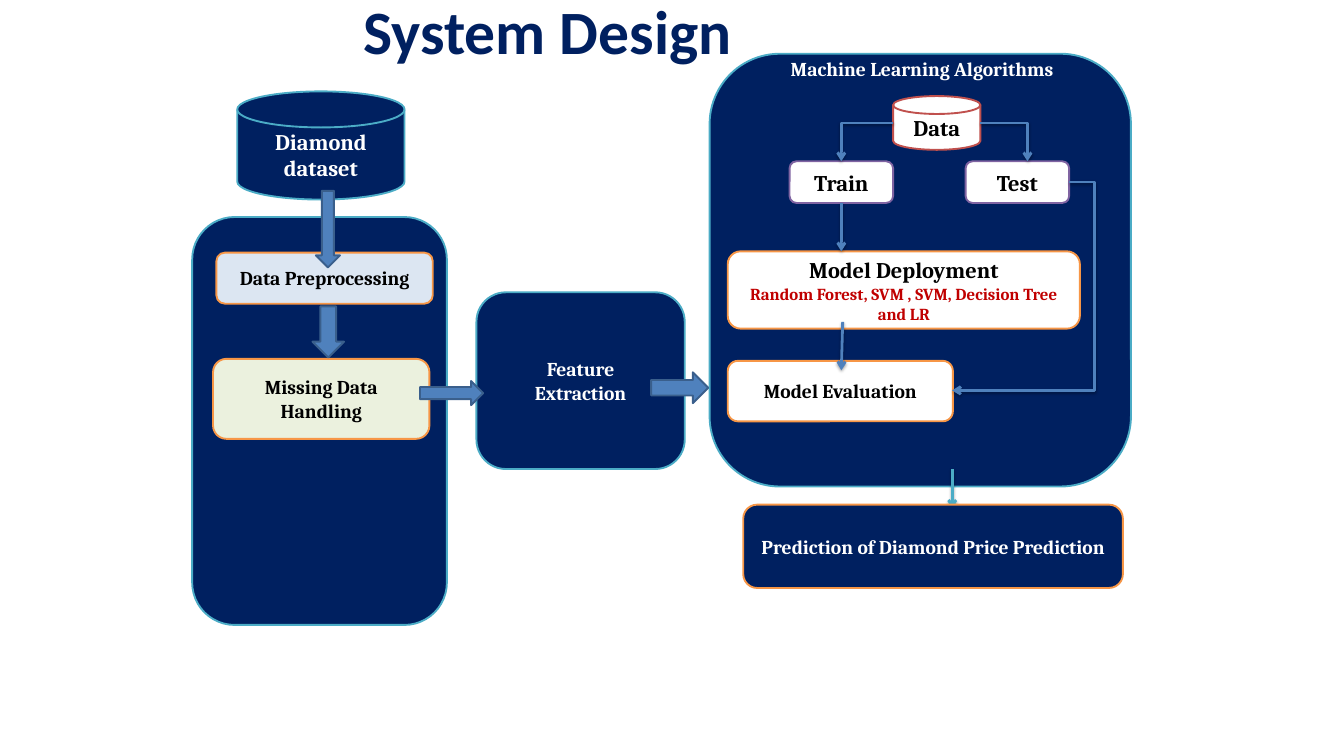
from dataclasses import dataclass
from typing import Optional

from lxml.etree import SubElement
from pptx import Presentation
from pptx.dml.color import RGBColor
from pptx.enum.shapes import MSO_CONNECTOR as Link, MSO_SHAPE as Geo
from pptx.enum.text import MSO_ANCHOR as Anchor, MSO_AUTO_SIZE as AutoSize, PP_ALIGN as Align
from pptx.oxml.ns import qn
from pptx.util import Inches, Pt

COLS, ROWS = 20, 11.25
NAVY, WHITE, BLACK, RED = "002060", "FFFFFF", "000000", "C00000"
TEAL, ORANGE, PURPLE, BRICK = "4BACC6", "F79646", "8064A2", "C0504D"
BLUE, STEEL = "4F81BD", "3A5F8C"


@dataclass(frozen=True)
class Line:
    words: str
    size: int = 21
    color: str = BLACK


@dataclass(frozen=True)
class Block:
    col: float
    row: float
    width: float
    height: float
    fill: str = NAVY
    border: str = TEAL
    lines: tuple[Line, ...] = ()
    geo: int = Geo.ROUNDED_RECTANGLE


@dataclass(frozen=True)
class Flow:
    start: tuple[float, float]
    end: tuple[float, float]
    color: str = BLUE
    bend: Optional[str] = None
    shift: Optional[int] = None


prs = Presentation()
prs.slide_width, prs.slide_height = Inches(COLS), Inches(ROWS)
CELL = prs.slide_width / COLS
slide = prs.slides.add_slide(prs.slide_layouts[5])


def grid(*cells: float) -> list[int]:
    return [round(cell * CELL) for cell in cells]


def rgb(color: str) -> RGBColor:
    return RGBColor.from_string(color)


def write(frame, lines: tuple[Line, ...], face: str = "Cambria", align=Align.CENTER) -> None:
    frame.word_wrap = True
    frame.text = "\n".join(line.words for line in lines)
    for paragraph, line in zip(frame.paragraphs, lines):
        paragraph.alignment = align
        for run in paragraph.runs:
            run.font.name, run.font.size, run.font.bold = face, Pt(line.size), True
            run.font.color.rgb = rgb(line.color)


def draw_block(block: Block):
    shape = slide.shapes.add_shape(
        block.geo, *grid(block.col, block.row, block.width, block.height))
    shape.shadow.inherit = False
    shape.fill.solid()
    shape.fill.fore_color.rgb = rgb(block.fill)
    shape.line.color.rgb = rgb(block.border)
    shape.line.width = Pt(2)
    if block.lines:
        shape.text_frame.vertical_anchor = Anchor.MIDDLE
        write(shape.text_frame, block.lines)
    return shape


def draw_flow(flow: Flow):
    kind = Link.ELBOW if flow.bend else Link.STRAIGHT
    connector = slide.shapes.add_connector(kind, *grid(*flow.start, *flow.end))
    connector.line.color.rgb = rgb(flow.color)
    connector.line.width = Pt(3)
    properties = connector._element.spPr
    SubElement(properties.find(qn("a:ln")), qn("a:tailEnd"), type="arrow")
    if flow.bend:
        geometry = properties.find(qn("a:prstGeom"))
        geometry.set("prst", flow.bend)
        if flow.shift is not None:
            SubElement(geometry.find(qn("a:avLst")), qn("a:gd"),
                       name="adj1", fmla=f"val {flow.shift}")
    effects = SubElement(properties, qn("a:effectLst"))
    shadow = SubElement(effects, qn("a:outerShdw"), blurRad="40000", dist="23000",
                        dir="5400000", rotWithShape="0")
    tint = SubElement(shadow, qn("a:srgbClr"), val=BLACK)
    SubElement(tint, qn("a:alpha"), val="35000")
    return connector


def disk(*box: float, **look) -> Block:
    return Block(*box, geo=Geo.FLOWCHART_MAGNETIC_DISK, **look)


def arrow(*box: float, geo: int) -> Block:
    return Block(*box, BLUE, STEEL, geo=geo)


title = slide.shapes.title
title.left, title.top, title.width, title.height = grid(5.31, -0.03, 17.25, 2.17)
title.text_frame.auto_size = AutoSize.NONE
title.text_frame.vertical_anchor = Anchor.TOP
write(title.text_frame, (Line("System Design", 66, NAVY),), "Calibri", Align.LEFT)
title.text_frame.paragraphs[0].line_spacing = 0.9

preparation = [
    disk(3.53, 1.36, 2.49, 1.61, lines=(Line("Diamond dataset", 24, WHITE),)),
    Block(2.86, 3.23, 3.79, 6.07),
    Block(3.22, 3.76, 3.22, 0.76, "DCE6F2", ORANGE, (Line("Data Preprocessing"),)),
    Block(3.17, 5.34, 3.22, 1.19, "EBF1DE", ORANGE, (Line("Missing Data Handling"),)),
]
learning = [
    Block(10.56, 0.8, 6.27, 6.44),
    disk(13.29, 1.43, 1.3, 0.8, fill=WHITE, border=BRICK, lines=(Line("Data", 24),)),
    Block(14.37, 2.4, 1.54, 0.62, WHITE, PURPLE, (Line("Test", 24),)),
    Block(10.83, 3.74, 5.24, 1.15, WHITE, ORANGE, (
        Line("Model Deployment", 24),
        Line("Random Forest, SVM , SVM, Decision Tree and LR", 18, RED))),
    Block(10.83, 5.37, 3.35, 0.9, WHITE, ORANGE, (Line("Model Evaluation"),)),
]
for part in preparation + learning:
    draw_block(part)
train = draw_block(Block(11.75, 2.4, 1.54, 0.62, WHITE, PURPLE, (Line("Train", 24),)))

train_to_model = draw_flow(Flow((12.52, 3.02), (12.52, 3.74)))
train_to_model.begin_connect(train, 2)
for step in [
    Flow((13.29, 1.83), (12.52, 2.4), bend="bentConnector2"),
    Flow((14.59, 1.83), (15.29, 2.4), bend="bentConnector2"),
    Flow((12.54, 4.79), (12.52, 5.51)),
    Flow((15.91, 2.71), (14.17, 5.81), bend="bentConnector3", shift=-21700),
    Flow((14.17, 6.98), (14.17, 7.57), TEAL),
]:
    draw_flow(step)

for part in [
    Block(11.06, 7.51, 5.65, 1.24, NAVY, ORANGE,
          (Line("Prediction of Diamond Price Prediction", color=WHITE),)),
    Block(7.09, 4.35, 3.1, 2.63,
          lines=(Line("Feature", color=WHITE), Line("Extraction", color=WHITE))),
    arrow(4.7, 2.84, 0.36, 1.14, geo=Geo.DOWN_ARROW),
    arrow(4.65, 4.56, 0.47, 0.76, geo=Geo.DOWN_ARROW),
    arrow(6.25, 5.67, 0.94, 0.36, geo=Geo.RIGHT_ARROW),
    arrow(9.69, 5.54, 0.85, 0.46, geo=Geo.RIGHT_ARROW),
]:
    draw_block(part)

heading = slide.shapes.add_textbox(*grid(11.53, 0.79, 4.38, 0.45))
write(heading.text_frame, (Line("Machine Learning Algorithms", color=WHITE),))

prs.save("out.pptx")
